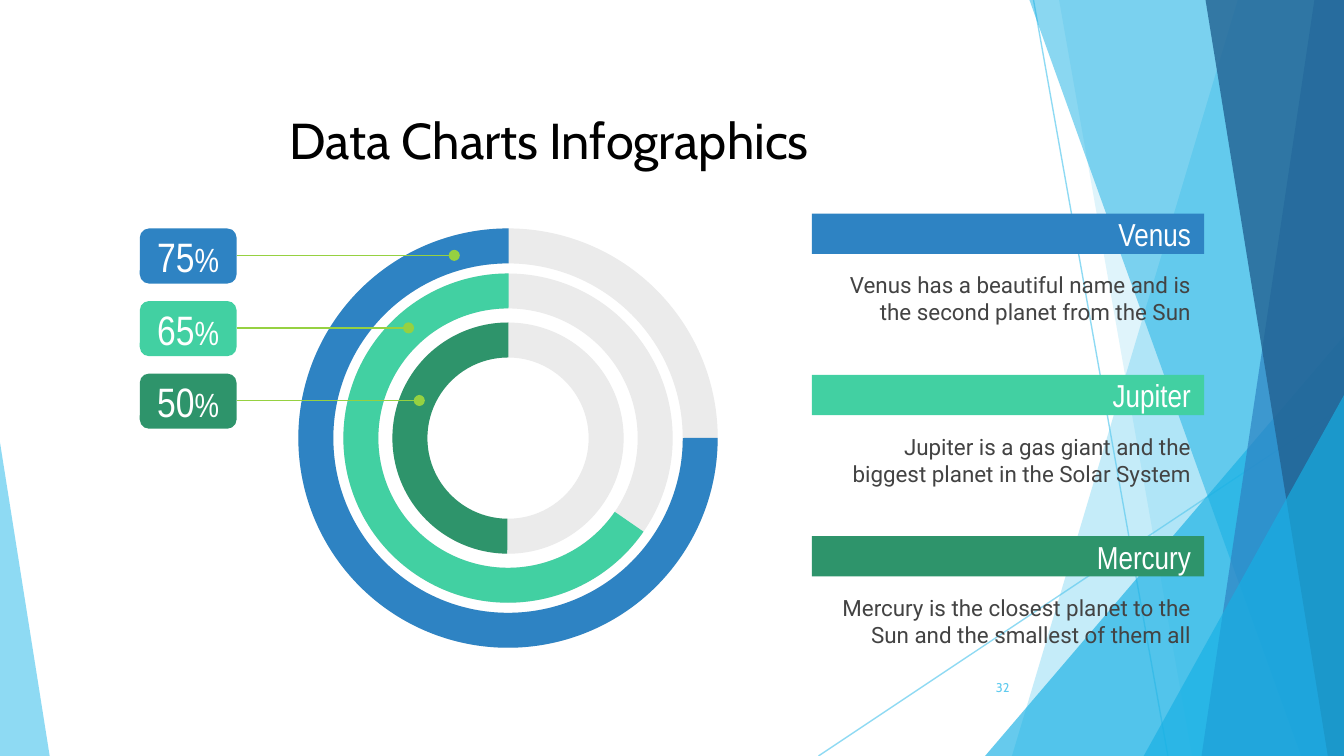
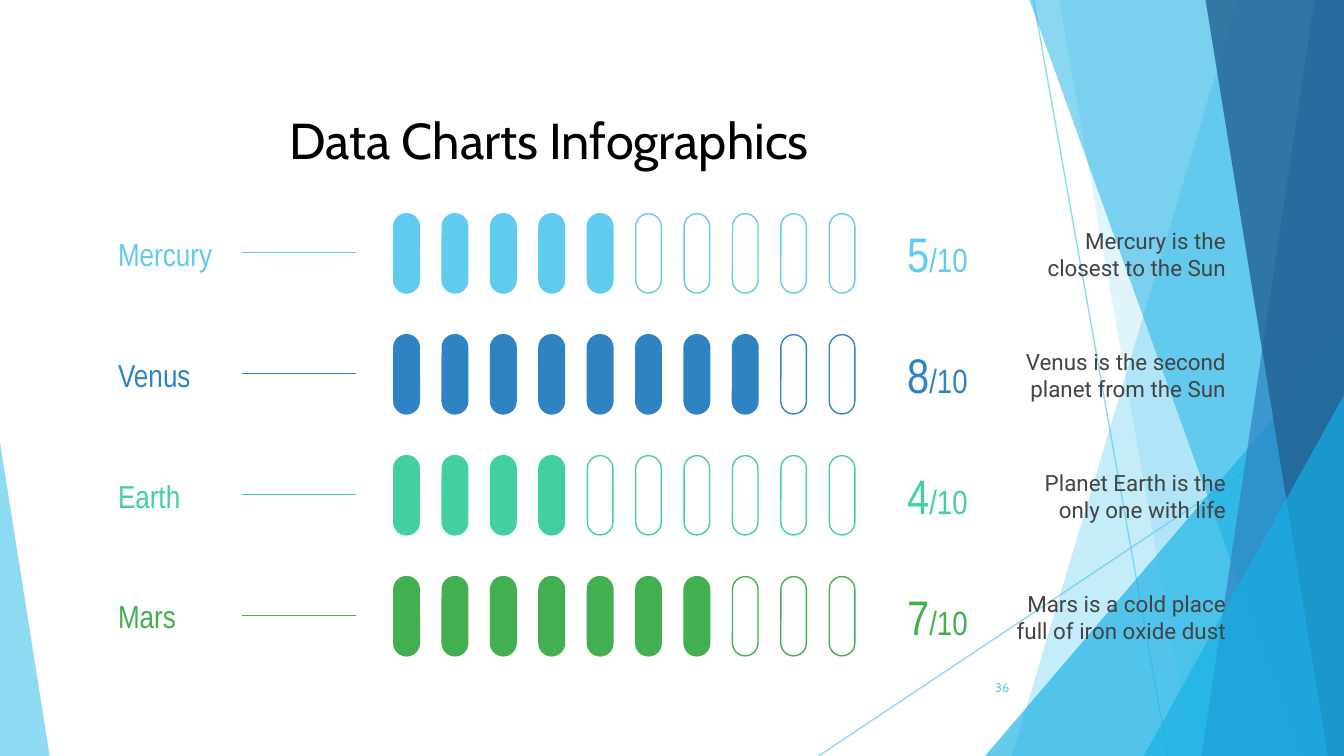
from lxml import etree
from pptx import Presentation
from pptx.dml.color import RGBColor
from pptx.enum.shapes import MSO_CONNECTOR, MSO_SHAPE
from pptx.enum.text import MSO_ANCHOR, MSO_AUTO_SIZE, PP_ALIGN
from pptx.oxml.ns import qn
from pptx.util import Inches, Pt

STRAIGHT = MSO_CONNECTOR.STRAIGHT
TRIANGLE, RECTANGLE = MSO_SHAPE.ISOSCELES_TRIANGLE, MSO_SHAPE.RECTANGLE
ROUNDED, DONUT, ARC = MSO_SHAPE.ROUNDED_RECTANGLE, MSO_SHAPE.DONUT, MSO_SHAPE.BLOCK_ARC
TOP, MIDDLE = MSO_ANCHOR.TOP, MSO_ANCHOR.MIDDLE
LEFT, CENTER, RIGHT = PP_ALIGN.LEFT, PP_ALIGN.CENTER, PP_ALIGN.RIGHT

SKY = RGBColor(0x5F, 0xCB, 0xEF)
CYAN = RGBColor(0x17, 0xB0, 0xE4)
BLUE = RGBColor(0x2E, 0x83, 0xC3)
NAVY = RGBColor(0x22, 0x62, 0x92)
MINT = RGBColor(0x42, 0xD0, 0xA2)
FOREST = RGBColor(0x2E, 0x94, 0x6B)
GREEN = RGBColor(0x42, 0xB0, 0x51)
LIME = RGBColor(0x96, 0xD1, 0x41)
TRACK = RGBColor(0xEB, 0xEB, 0xEB)
GRAY = RGBColor(0x43, 0x43, 0x43)
BLACK = RGBColor(0, 0, 0)
WHITE = RGBColor(0xFF, 0xFF, 0xFF)

TITLE_FONT, LABEL_FONT, BODY_FONT = "Cabin", "Arial Narrow", "Roboto"
WIDTH = 10
HEIGHT = WIDTH * 9 / 16


def paint(shape, fill=None, line=None, opacity=100, dot_end=False):
    """Set fill, outline and opacity of a shape or connector, without a shadow."""
    if fill is not None:
        shape.fill.solid()
        shape.fill.fore_color.rgb = fill
    if line is None:
        shape.line.fill.background()
    else:
        shape.line.color.rgb = line
        shape.line.width = Pt(0.75)
    properties = shape._element.spPr
    if opacity < 100:
        for color in properties.iter(qn("a:srgbClr")):
            etree.SubElement(color, qn("a:alpha"), val=str(opacity * 1000))
    if dot_end:
        etree.SubElement(properties.find(qn("a:ln")), qn("a:tailEnd"), type="oval")
    etree.SubElement(properties, qn("a:effectLst"))


def write(shape, *spans, font=LABEL_FONT, color=WHITE, align=LEFT, anchor=MIDDLE):
    """Fill a shape with one paragraph made of (text, size) spans."""
    frame = shape.text_frame
    frame.word_wrap = True
    frame.auto_size = MSO_AUTO_SIZE.NONE
    frame.vertical_anchor = anchor
    frame.margin_left = frame.margin_right = Inches(0.1)
    frame.margin_top = frame.margin_bottom = Inches(0.1)
    para = frame.paragraphs[0]
    para.alignment = align
    for text, size in spans:
        span = para.add_run()
        span.text = text
        span.font.size = Pt(size)
        span.font.name = font
        span.font.color.rgb = color


deck = Presentation()
deck.slide_width, deck.slide_height = Inches(WIDTH), Inches(HEIGHT)

# Shared background, title and page number
THIN_LINES = [(7.69, 0, 8.69, HEIGHT), (WIDTH, 3.02, 6.09, HEIGHT)]
# Wedges run to the right edge: (top x, bottom x).
# Triangles stand on the bottom edge: (left, top, width, position of the tip).
FACETS = [
    (SKY, 36, (9.21, 7.53)),
    (SKY, 20, (7.88, 8.87)),
    (CYAN, 66, (7.33, 2.5, 2.67, 1)),
    (CYAN, 50, (7.66, 9.68)),
    (BLUE, 70, (9.78, 8.94)),
    (NAVY, 80, (8.97, 9.88)),
    (CYAN, 66, (8.51, 2.94, 1.49, 1)),
    (SKY, 70, (0, 3.29, 0.37, 0)),
]

pages = []
for number in ("32", "36"):
    page = deck.slides.add_slide(deck.slide_layouts[5])
    pages.append(page)
    for ends in THIN_LINES:
        line = page.shapes.add_connector(STRAIGHT, *map(Inches, ends))
        paint(line, line=SKY, opacity=70)
    for color, opacity, outline in FACETS:
        if len(outline) == 2:
            top_x, bottom_x = map(Inches, outline)
            right, bottom = deck.slide_width, deck.slide_height
            builder = page.shapes.build_freeform(top_x, 0)
            builder.add_line_segments([(right, 0), (right, bottom), (bottom_x, bottom)])
            facet = builder.convert_to_shape()
        else:
            left, top, width, tip = outline
            facet = page.shapes.add_shape(TRIANGLE, Inches(left), Inches(top),
                                          Inches(width), Inches(HEIGHT - top))
            facet.adjustments[0] = tip
        paint(facet, color, opacity=opacity)

    title = page.shapes.title
    title.left, title.top = Inches(0.56), Inches(0.5)
    title.width, title.height = Inches(7.05), Inches(1.08)
    write(title, ("Data Charts Infographics", 27), font=TITLE_FONT, color=BLACK, align=CENTER)
    box = page.shapes.add_textbox(Inches(7.05), Inches(4.96), Inches(0.56), Inches(0.3))
    write(box, (number, 6.8), font=TITLE_FONT, color=SKY, align=RIGHT, anchor=TOP)

ring_page, pill_page = pages

# Planet panels
PANELS = [
    ("Venus", BLUE, "Venus has a beautiful name and is the second planet from the Sun"),
    ("Jupiter", MINT, "Jupiter is a gas giant and the biggest planet in the Solar System"),
    ("Mercury", FOREST, "Mercury is the closest planet to the Sun and the smallest of them all"),
]
for index, (planet, color, description) in enumerate(PANELS):
    top = 1.59 + 1.2 * index
    bar = ring_page.shapes.add_shape(RECTANGLE, Inches(6.04), Inches(top),
                                     Inches(2.92), Inches(0.3))
    paint(bar, color)
    write(bar, (planet, 17), align=RIGHT)
    box = ring_page.shapes.add_textbox(Inches(6.04), Inches(top + 0.32),
                                       Inches(2.92), Inches(0.62))
    write(box, (description, 12), font=BODY_FONT, color=GRAY, align=RIGHT)

# Concentric rings: share, colour, diameter, start angle, x of the callout's end
RINGS = [
    ("75", BLUE, 3.12, 359.96, 3.38),
    ("65", MINT, 2.45, 34.63, 3.04),
    ("50", FOREST, 1.72, 90.39, 3.12),
]
CENTER_X, CENTER_Y, BAND = 3.78, 3.26, 0.26
ANGLE_UNIT = 0.6  # one degree on the scale of shape adjustments
for share, color, size, start, tip in RINGS:
    for kind, fill in ((DONUT, TRACK), (ARC, color)):
        ring = ring_page.shapes.add_shape(kind, Inches(CENTER_X - size / 2),
                                          Inches(CENTER_Y - size / 2),
                                          Inches(size), Inches(size))
        paint(ring, fill)
        if kind == ARC:
            ring.adjustments[0] = start * ANGLE_UNIT
            ring.adjustments[1] = 270.2 * ANGLE_UNIT
            ring.adjustments[2] = BAND / size
        else:
            ring.adjustments[0] = BAND / size

for index, (share, color, size, start, tip) in enumerate(RINGS):
    top = 1.7 + 0.54 * index
    badge = ring_page.shapes.add_shape(ROUNDED, Inches(1.04), Inches(top),
                                       Inches(0.72), Inches(0.41))
    paint(badge, color)
    write(badge, (share, 22), ("%", 18), align=CENTER)
    middle = Inches(top + 0.2)
    callout = ring_page.shapes.add_connector(STRAIGHT, Inches(1.76), middle,
                                             Inches(tip), middle)
    paint(callout, line=LIME, dot_end=True)

# Rows of ten pills
RATINGS = [
    ("Mercury", SKY, 5, "Mercury is the closest to the Sun"),
    ("Venus", BLUE, 8, "Venus is the second planet from the Sun"),
    ("Earth", MINT, 4, "Planet Earth is the only one with life"),
    ("Mars", GREEN, 7, "Mars is a cold place full of iron oxide dust"),
]
for row, (planet, color, score, description) in enumerate(RATINGS):
    top = 1.59 + 0.9 * row
    box = pill_page.shapes.add_textbox(Inches(0.78), Inches(top + 0.05),
                                       Inches(1.02), Inches(0.49))
    write(box, (planet, 17), color=color)
    middle = Inches(top + 0.29)
    rule = pill_page.shapes.add_connector(STRAIGHT, Inches(1.8), middle, Inches(2.65), middle)
    paint(rule, line=color)
    for step in range(10):
        pill = pill_page.shapes.add_shape(ROUNDED, Inches(2.93 + 0.36 * step), Inches(top),
                                          Inches(0.19), Inches(0.59))
        pill.adjustments[0] = 0.5
        paint(pill, color if step < score else WHITE, line=color)
    box = pill_page.shapes.add_textbox(Inches(6.61), Inches(top + 0.06),
                                       Inches(0.73), Inches(0.47))
    write(box, (str(score), 26), ("/10", 18), color=color, align=CENTER)
    box = pill_page.shapes.add_textbox(Inches(7.43), Inches(top), Inches(1.79), Inches(0.6))
    write(box, (description, 12), font=BODY_FONT, color=GRAY, align=RIGHT)

deck.save("out.pptx")
